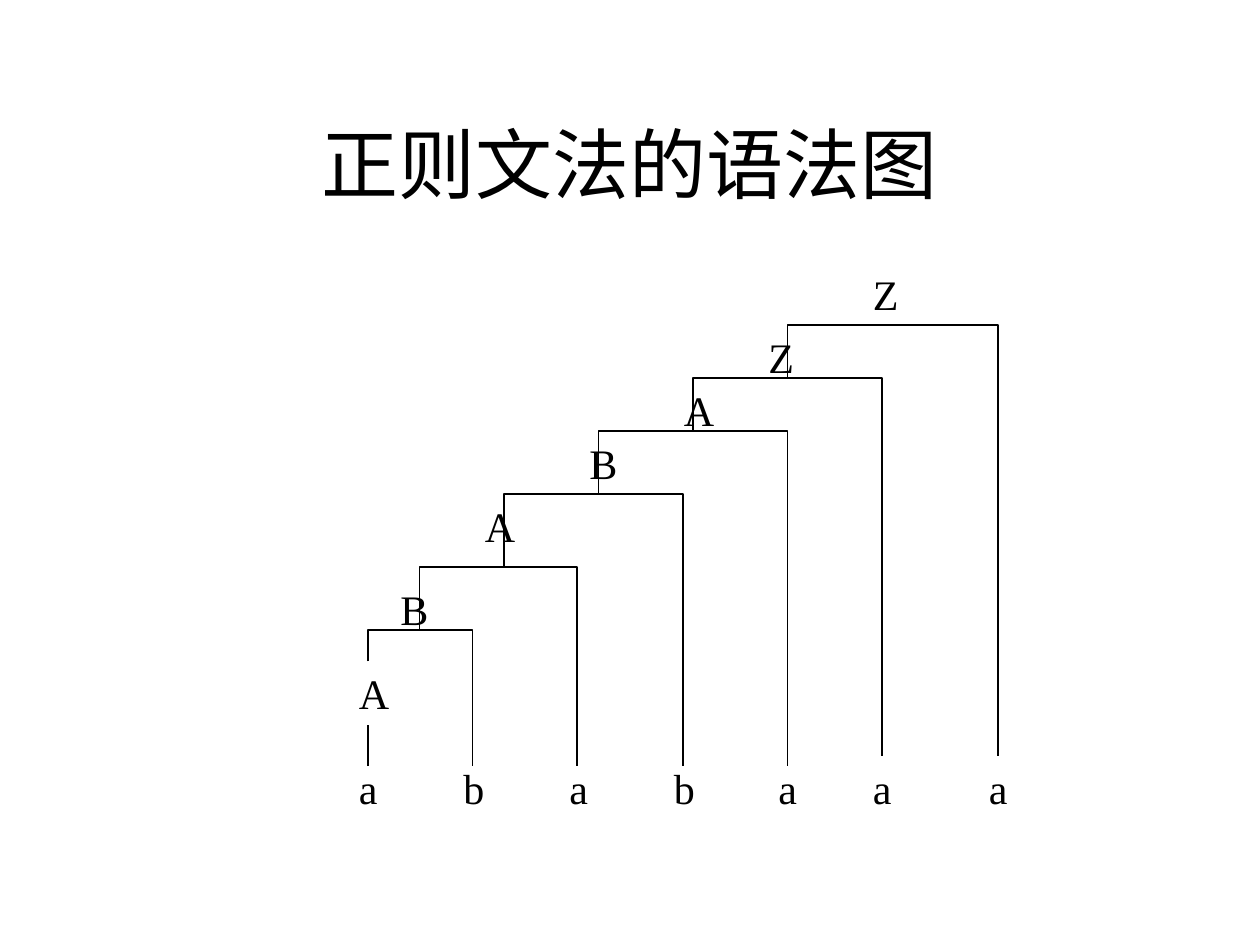
from pptx import Presentation
from pptx.dml.color import RGBColor
from pptx.enum.shapes import MSO_CONNECTOR
from pptx.enum.text import MSO_ANCHOR, MSO_AUTO_SIZE, PP_ALIGN
from pptx.oxml.ns import qn
from pptx.util import Inches, Pt

TITLE = "正则文法的语法图"
INK = "000000"
FONT = "Times New Roman"
LABEL_W, LABEL_H = 0.42, 0.5
LEAF_TOP = 6
STEM_X, STEM_TOP, STEM_BOTTOM = 2.92, 5.75, 6.08
FIRST_FOOT = 5.25

LEAVES = [("a", 2.75), ("b", 3.58), ("a", 4.42), ("b", 5.25),
          ("a", 6.08), ("a", 6.83), ("a", 7.75)]
NODES = [("A", 2.75, 5.25), ("B", 3.08, 4.58), ("A", 3.75, 3.92),
         ("B", 4.58, 3.42), ("A", 5.33, 3), ("Z", 6, 2.58), ("Z", 6.83, 2.08)]
BRACKETS = [(2.92, 3.75, 5, 6.08), (3.33, 4.58, 4.5, 6.08),
            (4, 5.42, 3.92, 6.08), (4.75, 6.25, 3.42, 6.08),
            (5.5, 7, 3, 6), (6.25, 7.92, 2.58, 6)]


def color(value):
    return RGBColor.from_string(value)


def write(tf, text, size, align):
    p = tf.paragraphs[0]
    p.alignment = align
    r = p.add_run()
    r.text = text
    for name, value in {"name": FONT, "size": Pt(size), "bold": False}.items():
        setattr(r.font, name, value)
    r.font.color.rgb = color(INK)


def add_label(s, text, left, top):
    sp = s.shapes.add_textbox(*map(Inches, (left, top, LABEL_W, LABEL_H)))
    tf = sp.text_frame
    tf.word_wrap = True
    tf.auto_size = MSO_AUTO_SIZE.SHAPE_TO_FIT_TEXT
    write(tf, text, 24, PP_ALIGN.LEFT)


def style_line(sp):
    sp.line.color.rgb = color(INK)
    sp.line.width = Pt(0.75)


def add_bracket(s, left, right, top, bottom, foot):
    corners = [(left, foot), (left, top), (right, top), (right, bottom)]
    start, *rest = [(Inches(x), Inches(y)) for x, y in corners]
    builder = s.shapes.build_freeform(*start)
    builder.add_line_segments(rest, close=False)
    sp = builder.convert_to_shape()
    sp.shadow.inherit = False
    sp.fill.background()
    style_line(sp)


def main():
    prs = Presentation()
    prs.slide_width, prs.slide_height = Inches(10), Inches(7.5)
    s = prs.slides.add_slide(prs.slide_layouts[5])

    title = s.shapes.title
    box = {"left": 0.75, "top": 0.67, "width": 8.5, "height": 1.25}
    for name, value in box.items():
        setattr(title, name, Inches(value))
    title.text_frame.vertical_anchor = MSO_ANCHOR.MIDDLE
    write(title.text_frame, TITLE, 44, PP_ALIGN.CENTER)

    stem = s.shapes.add_connector(
        MSO_CONNECTOR.STRAIGHT,
        *map(Inches, (STEM_X, STEM_BOTTOM, STEM_X, STEM_TOP)))
    stem._element.spPr.get_or_add_ln()
    style_line(stem)
    stem._element.spPr.append(
        stem._element.makeelement(qn("a:effectLst"), {}))

    foot = FIRST_FOOT
    for left, right, top, bottom in BRACKETS:
        add_bracket(s, left, right, top, bottom, foot)
        foot = top

    for text, left in LEAVES:
        add_label(s, text, left, LEAF_TOP)
    for text, left, top in NODES:
        add_label(s, text, left, top)

    prs.save("out.pptx")


if __name__ == "__main__":
    main()
